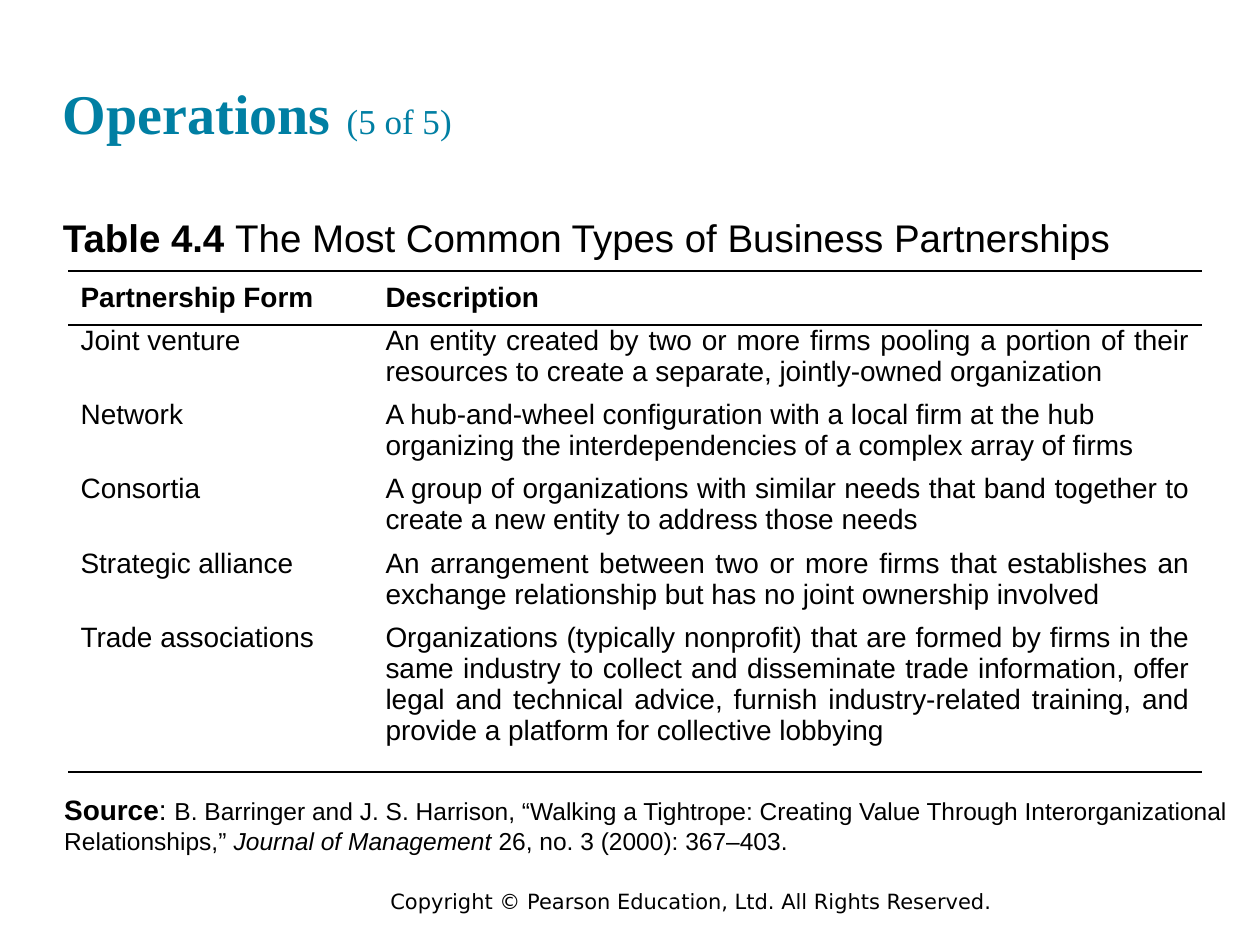
from lxml import etree
from pptx import Presentation
from pptx.dml.color import RGBColor
from pptx.enum.text import MSO_ANCHOR as ANCHOR, PP_ALIGN as ALIGN
from pptx.oxml.ns import qn
from pptx.util import Inches, Pt

COLORS = {"text": "000000", "title": "007FA3", "paper": "FFFFFF"}
FONTS = {"body": "Arial", "title": "Times New Roman", "footer": "DejaVu Sans"}

HEADER = ("Partnership Form", ["Description"])
PARTNERSHIPS = [
    ("Joint venture", [
        "An entity created by two or more firms pooling a portion of their "
        "resources to create a separate, jointly-owned organization"]),
    ("Network", [
        "A hub-and-wheel configuration with a local firm at the hub",
        "organizing the interdependencies of a complex array of firms"]),
    ("Consortia", [
        "A group of organizations with similar needs that band together to "
        "create a new entity to address those needs"]),
    ("Strategic alliance", [
        "An arrangement between two or more firms that establishes an "
        "exchange relationship but has no joint ownership involved"]),
    ("Trade associations", [
        "Organizations (typically nonprofit) that are formed by firms in the "
        "same industry to collect and disseminate trade information, offer "
        "legal and technical advice, furnish industry-related training, and "
        "provide a platform for collective lobbying"]),
]


def add_run(p, text, size=16, font="body", color="text", bold=False, italic=False):
    r = p.add_run()
    r.text = text
    r.font.size = Pt(size)
    r.font.name = FONTS[font]
    r.font.color.rgb = RGBColor.from_string(COLORS[color])
    r.font.bold = bold
    r.font.italic = italic


def set_borders(cell, ruled):
    """Rule the named sides of a cell (L, R, T, B) and clear the others."""
    tc_pr = cell._tc.get_or_add_tcPr()
    for side in "LRTB":
        ln = etree.SubElement(tc_pr, qn(f"a:ln{side}"), w=str(Pt(1)))
        if side in ruled:
            fill = etree.SubElement(ln, qn("a:solidFill"))
            etree.SubElement(fill, qn("a:srgbClr"), val=COLORS["text"])
        else:
            etree.SubElement(ln, qn("a:noFill"))


class SlideBuilder:
    def __init__(self, prs):
        self.slide = prs.slides.add_slide(prs.slide_layouts[6])

    def text(self, x, y, w, h, runs, anchor=ANCHOR.TOP, inset=(0, 0)):
        box = self.slide.shapes.add_textbox(*map(Inches, (x, y, w, h)))
        tf = box.text_frame
        tf.word_wrap = True
        tf.vertical_anchor = anchor
        tf.margin_left = tf.margin_right = Inches(inset[0])
        tf.margin_top = tf.margin_bottom = Inches(inset[1])
        for text, fmt in runs:
            add_run(tf.paragraphs[0], text, **fmt)

    def cell(self, cell, lines, ruled, header=False, align=ALIGN.LEFT):
        cell.margin_left = cell.margin_right = Inches(0.1)
        cell.margin_top = cell.margin_bottom = 0
        cell.vertical_anchor = ANCHOR.MIDDLE if header else ANCHOR.TOP
        set_borders(cell, ruled)
        cell.fill.solid()
        cell.fill.fore_color.rgb = RGBColor.from_string(COLORS["paper"])
        tf = cell.text_frame
        for i, line in enumerate(lines):
            p = tf.add_paragraph() if i else tf.paragraphs[0]
            p.alignment = align
            add_run(p, line, bold=header)

    def table(self, x, y, widths, heights, rows):
        frame = self.slide.shapes.add_table(
            len(rows), len(widths),
            *map(Inches, (x, y, sum(widths), sum(heights))))
        table = frame.table
        table.first_row = table.horz_banding = False
        for column, width in zip(table.columns, widths):
            column.width = Inches(width)
        for row, height in zip(table.rows, heights):
            row.height = Inches(height)
        # Rules above and below the header and under the last row
        ruled = {0: "TB", 1: "T", len(rows) - 1: "B"}
        for i, (form, description) in enumerate(rows):
            sides, header = ruled.get(i, ""), i == 0
            align = ALIGN.LEFT if header else ALIGN.JUSTIFY
            self.cell(table.cell(i, 0), [form], sides, header)
            self.cell(table.cell(i, 1), description, sides, header, align)


def main():
    prs = Presentation()
    prs.slide_width, prs.slide_height = Inches(10), Inches(7.5)
    s = SlideBuilder(prs)

    # Title
    title = dict(font="title", color="title")
    s.text(0.5, 0.24, 9, 0.93, [
        ("Operations", dict(title, size=32, bold=True)),
        (" ", dict(title, size=36, bold=True)),
        ("(5 of 5)", dict(title, size=20)),
    ], anchor=ANCHOR.BOTTOM)

    # Table caption
    s.text(0.5, 1.7, 9, 0.37, [
        ("Table 4.4 ", dict(size=22, bold=True)),
        ("The Most Common Types of Business Partnerships", dict(size=22)),
    ])

    # Partnership table
    s.table(0.54, 2.15, [2.42, 6.58], [0.43] + [0.59] * 4 + [1.19],
            [HEADER] + PARTNERSHIPS)

    # Source
    s.text(0.51, 6.29, 9.32, 0.57, [
        ("Source", dict(bold=True)),
        (": ", {}),
        ("B. Barringer and J. S. Harrison, “Walking a Tightrope: Creating Value "
         "Through Interorganizational Relationships,” ", dict(size=14)),
        ("Journal of Management ", dict(size=14, italic=True)),
        ("26, no. 3 (2000): 367–403.", dict(size=14)),
    ])

    # Copyright line
    s.text(3, 7, 6.67, 0.3, [
        ("Copyright © Pearson Education, Ltd. All Rights Reserved.",
         dict(size=12, font="footer")),
    ], inset=(0.1, 0.05))

    prs.save("out.pptx")


if __name__ == "__main__":
    main()
